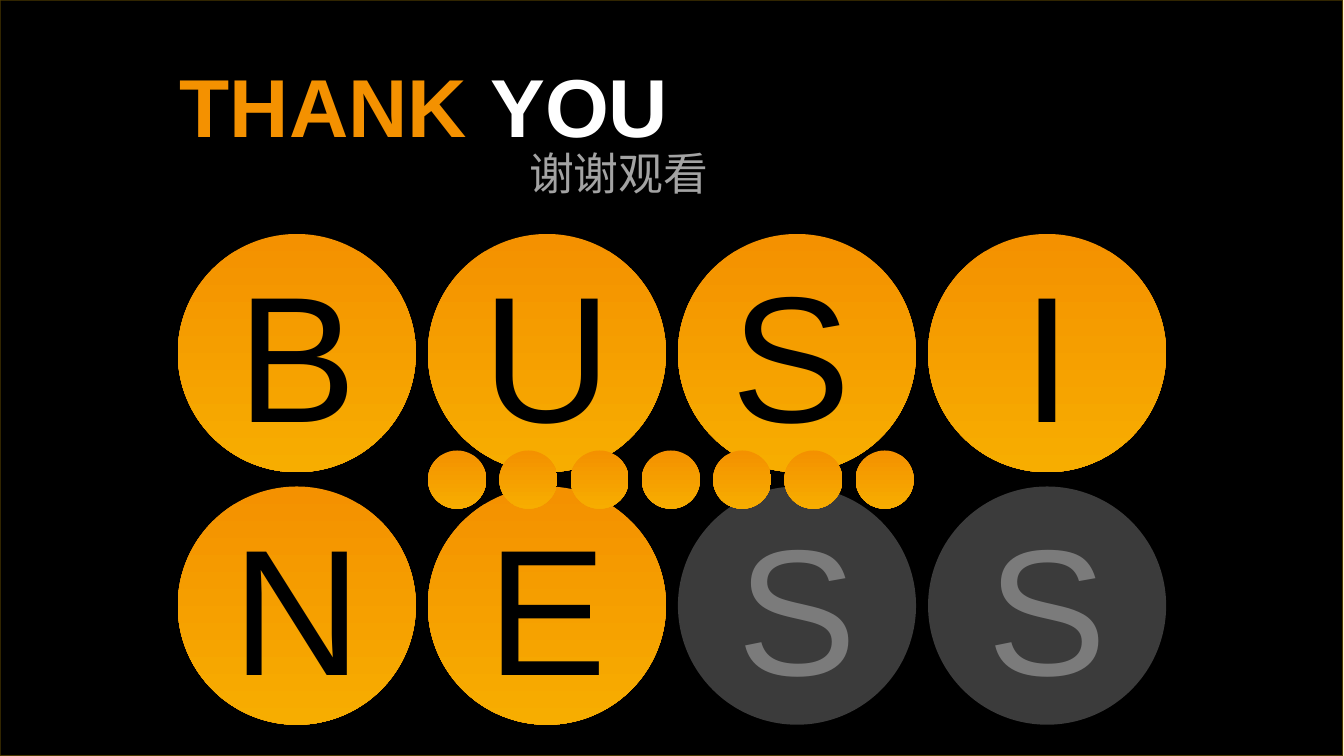
from pptx import Presentation
from pptx.dml.color import RGBColor
from pptx.enum.shapes import MSO_SHAPE
from pptx.enum.text import MSO_ANCHOR, MSO_AUTO_SIZE, PP_ALIGN
from pptx.oxml.ns import qn
from pptx.oxml.xmlchemy import OxmlElement
from pptx.util import Cm, Pt

COLORS = {
    "black": "000000", "white": "FFFFFF", "border": "FFC000",
    "orange": "F49100", "amber": "F7AD00",
}
LETTER_WIDTHS = {"I": 1.47, "U": 2.97, "N": 2.97}  # cm
LETTER_WIDTH = 2.79
ROWS = ("BUSI", "NESS")
FADED = {(1, 2), (1, 3)}
NUDGES = {(0, 2): -0.11}  # cm, sideways shift of a letter


def rgb(name):
    return RGBColor.from_string(COLORS[name])


def set_opacity(element, percent):
    for color in element.iter(qn("a:srgbClr")):
        alpha = OxmlElement("a:alpha")
        alpha.set("val", str(percent * 1000))
        color.append(alpha)


def add_plain_shape(slide, kind, x, y, w, h):
    s = slide.shapes.add_shape(kind, Cm(x), Cm(y), Cm(w), Cm(h))
    s.shadow.inherit = False
    s.line.fill.background()
    return s


def add_circle(slide, x, y, size, faded=False):
    s = add_plain_shape(slide, MSO_SHAPE.OVAL, x, y, size, size)
    if faded:
        s.fill.solid()
        s.fill.fore_color.rgb = rgb("white")
        set_opacity(s._element.spPr, 23)
    else:
        s.fill.gradient()
        s.fill.gradient_angle = 270
        for stop, name in zip(s.fill.gradient_stops, ("orange", "amber")):
            stop.color.rgb = rgb(name)


def add_text(slide, x, y, w, h, runs, align=PP_ALIGN.LEFT, **font):
    """Each run is (text, colour name, opacity in percent)."""
    tf = slide.shapes.add_textbox(Cm(x), Cm(y), Cm(w), Cm(h)).text_frame
    frame_format = {"word_wrap": False, "auto_size": MSO_AUTO_SIZE.SHAPE_TO_FIT_TEXT,
                    "vertical_anchor": MSO_ANCHOR.TOP}
    for key, value in frame_format.items():
        setattr(tf, key, value)
    p = tf.paragraphs[0]
    p.alignment = align
    for text, color, opacity in runs:
        r = p.add_run()
        r.text = text
        for key, value in font.items():
            setattr(r.font, key, value)
        r.font.color.rgb = rgb(color)
        rPr = r._r.get_or_add_rPr()
        if opacity < 100:
            set_opacity(rPr, opacity)
        ea = OxmlElement("a:ea")
        ea.set("typeface", font["name"])
        rPr.find(qn("a:latin")).addnext(ea)


def add_backdrop(slide, x, y, w, h):
    s = add_plain_shape(slide, MSO_SHAPE.RECTANGLE, x, y, w, h)
    s.fill.solid()
    s.fill.fore_color.rgb = rgb("black")
    s.line.color.rgb = rgb("border")
    s.line.width = Pt(0.75)
    set_opacity(s._element.spPr.find(qn("a:ln")), 30)


def add_heading(slide, x, y):
    add_text(slide, x, y, 9.8, 2.13,
             [("THANK ", "orange", 100), ("YOU", "white", 100)],
             name="Arial", size=Pt(44), bold=True)
    add_text(slide, x + 6.6, y + 1.7, 3.94, 1.3, [("谢谢观看", "white", 63)],
             name="Noto Sans CJK SC", size=Pt(24))


def add_letter_grid(slide, x, y, w, h, size):
    col_step = (w - size) / (len(ROWS[0]) - 1)
    row_step = (h - size) / (len(ROWS) - 1)
    for row, word in enumerate(ROWS):
        for col, letter in enumerate(word):
            cell = (row, col)
            left, top = x + col * col_step, y + row * row_step
            faded = cell in FADED
            add_circle(slide, left, top, size, faded)
            width = LETTER_WIDTHS.get(letter, LETTER_WIDTH)
            text_left = left + (size - width) / 2 + NUDGES.get(cell, 0)
            run = (letter, "white", 33) if faded else (letter, "black", 100)
            add_text(slide, text_left, top + 0.05, width, 4.37, [run],
                     align=PP_ALIGN.CENTER, name="Arial", size=Pt(96))


def add_dot_row(slide, x, y, w, size, count=7):
    step = (w - size) / (count - 1)
    for i in range(count):
        add_circle(slide, x + i * step, y, size)


def main():
    prs = Presentation()
    prs.slide_width, prs.slide_height = Cm(25.4), Cm(14.28)
    slide = prs.slides.add_slide(prs.slide_layouts[6])
    add_backdrop(slide, 0, 0, 25.38, 14.28)
    add_letter_grid(slide, 3.36, 4.42, 18.68, 9.27, 4.5)
    add_dot_row(slide, 8.09, 8.51, 9.18, 1.1)
    add_heading(slide, 3.15, 0.92)
    prs.save("out.pptx")


if __name__ == "__main__":
    main()
